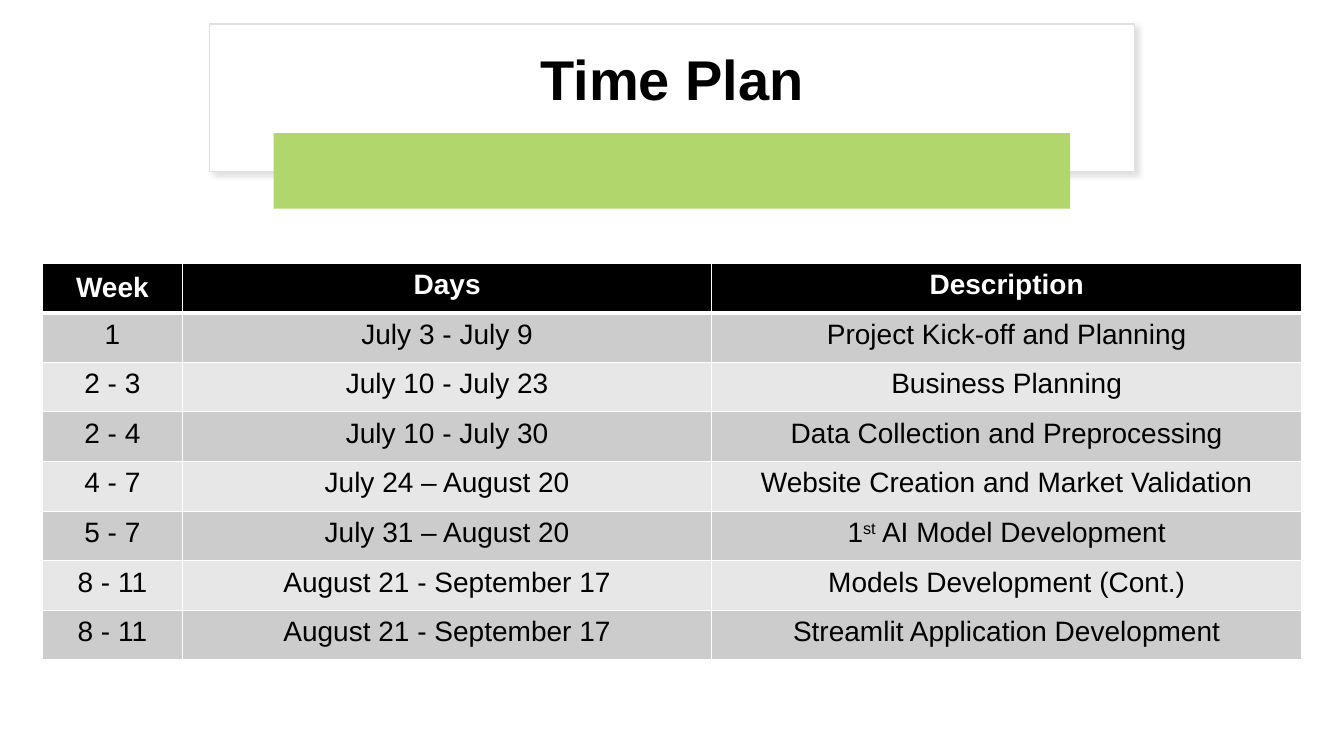
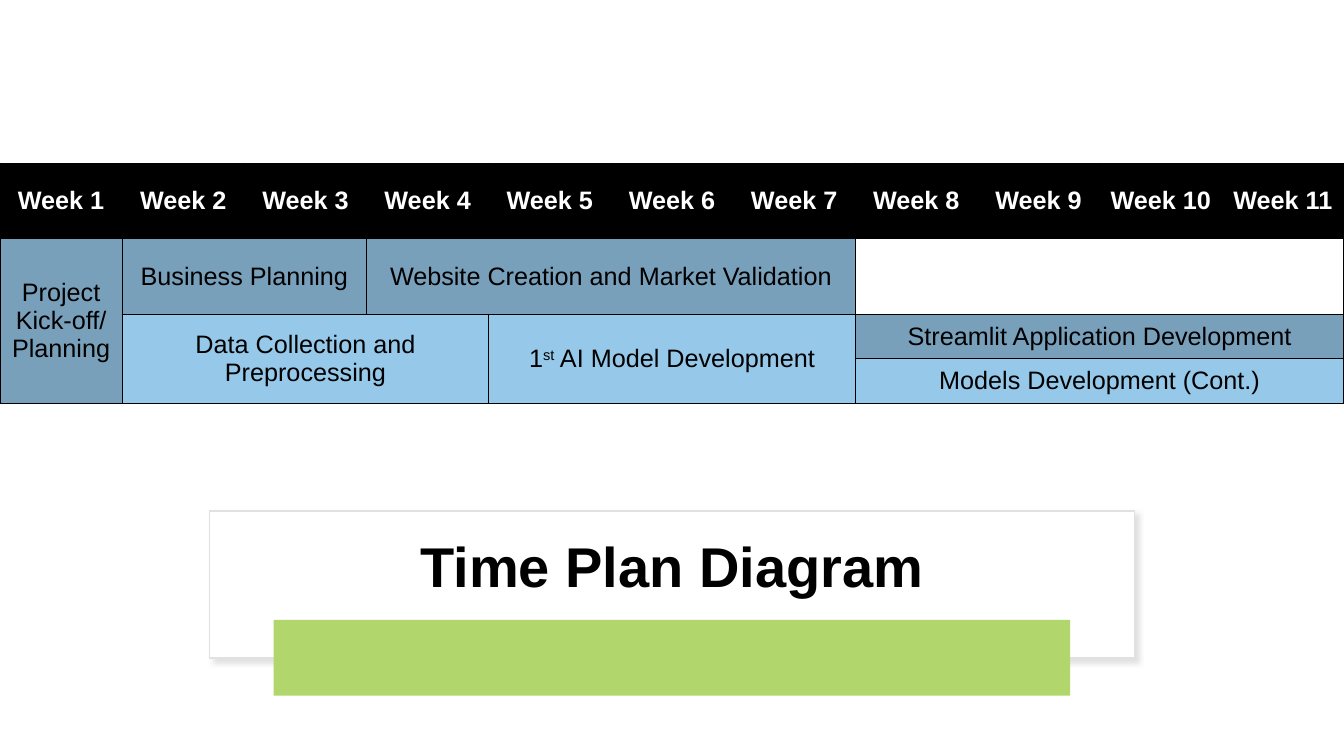
"""Build the two time plan slides: a schedule table and a week-by-week diagram."""
from dataclasses import dataclass

import lxml.etree
import pptx
import pptx.dml.color
import pptx.enum.shapes
import pptx.enum.text
import pptx.oxml.ns
import pptx.util

Inches = pptx.util.Inches
Pt = pptx.util.Pt
qn = pptx.oxml.ns.qn
Shapes = pptx.enum.shapes.MSO_SHAPE
Anchor = pptx.enum.text.MSO_ANCHOR

WIDTH, HEIGHT = 13.33, 7.5
FONT = "Arial"
BLACK, WHITE = "000000", "FFFFFF"
PANEL_LINE, SHADOW, GREEN = "E1E1E1", "C5C3C3", "B0D66C"
DARK_GREY, LIGHT_GREY = "CCCCCC", "E7E7E7"
STEEL, SKY = "78A0BB", "96C8E9"


@dataclass
class Cell:
    text: str
    row: int
    col: int
    fill: str
    rows: int = 1
    cols: int = 1
    anchor: Anchor = Anchor.MIDDLE


@dataclass
class Grid:
    left: float
    top: float
    cols: list[float]
    rows: list[float]
    size: int
    margins: tuple[float, float]
    border: str
    header_rule: float


SCHEDULE = [
    ("Week", "Days", "Description"),
    ("1", "July 3 - July 9", "Project Kick-off and Planning"),
    ("2 - 3", "July 10 - July 23", "Business Planning"),
    ("2 - 4", "July 10 - July 30", "Data Collection and Preprocessing"),
    ("4 - 7", "July 24 – August 20", "Website Creation and Market Validation"),
    ("5 - 7", "July 31 – August 20", "1^st^ AI Model Development"),
    ("8 - 11", "August 21 - September 17", "Models Development (Cont.)"),
    ("8 - 11", "August 21 - September 17", "Streamlit Application Development"),
]
WEEKS = 11
TASKS = [
    Cell("Project Kick-off/\nPlanning", 1, 0, STEEL, rows=3),
    Cell("Business Planning", 1, 1, STEEL, cols=2),
    Cell("Website Creation and Market Validation", 1, 3, STEEL, cols=4),
    Cell("", 1, 7, WHITE, cols=4),
    Cell("Data Collection and Preprocessing", 2, 1, SKY, rows=2, cols=3),
    Cell("1^st^ AI Model Development", 2, 4, SKY, rows=2, cols=3),
    Cell("Streamlit Application Development", 2, 7, STEEL, cols=4),
    Cell("Models Development (Cont.)", 3, 7, SKY, cols=4),
]


def rgb(value: str) -> pptx.dml.color.RGBColor:
    """Turn a hex string into a colour."""
    return pptx.dml.color.RGBColor.from_string(value)


def put_text(tf, text: str, size: int, color: str, bold: bool) -> None:
    """Write centred text, raising the parts between carets."""
    tf.text = text
    for p in tf.paragraphs:
        p.alignment = pptx.enum.text.PP_ALIGN.CENTER
        first, *rest = p.text.split("^")
        p.text = first
        for part in rest:
            p.add_run().text = part
        for i, r in enumerate(p.runs):
            r.font.name, r.font.size, r.font.bold = FONT, Pt(size), bold
            r.font.color.rgb = rgb(color)
            if i % 2:
                r._r.get_or_add_rPr().set("baseline", "30000")


def add_shadow(sp) -> None:
    """Give a shape a soft shadow to the lower right."""
    effects = sp._element.spPr.find(qn("a:effectLst"))
    outer = lxml.etree.SubElement(
        effects, qn("a:outerShdw"), blurRad=str(Pt(4)), dist=str(Pt(3)),
        dir=str(45 * 60000), algn="tl", rotWithShape="0")
    color = lxml.etree.SubElement(outer, qn("a:srgbClr"), val=SHADOW)
    lxml.etree.SubElement(color, qn("a:alpha"), val="50000")


def add_block(slide, kind: Shapes, top: float, width: float, height: float, fill: str):
    """Draw a filled, horizontally centred block."""
    sp = slide.shapes.add_shape(
        kind, Inches((WIDTH - width) / 2), Inches(top), Inches(width), Inches(height))
    sp.shadow.inherit = False
    sp.fill.solid()
    sp.fill.fore_color.rgb = rgb(fill)
    sp.line.fill.background()
    return sp


def add_title(slide, text: str, top: float) -> None:
    """Draw the title panel with its green bar."""
    panel = add_block(slide, Shapes.RECTANGLE, top, 9.17, 1.46, WHITE)
    panel.line.color.rgb = rgb(PANEL_LINE)
    panel.line.width = Pt(1)
    add_shadow(panel)

    width = 8.73
    box = slide.shapes.add_textbox(
        Inches((WIDTH - width) / 2), Inches(top + 0.1), Inches(width), Inches(0.95))
    tf = box.text_frame
    tf.word_wrap = True
    tf.vertical_anchor = Anchor.MIDDLE
    put_text(tf, text, 40, BLACK, True)
    tf.paragraphs[0].line_spacing = 0.9
    tf.paragraphs[0].space_after = Pt(6)

    bar = add_block(slide, Shapes.ROUNDED_RECTANGLE, top + 1.08, 7.9, 0.75, GREEN)
    bar.adjustments[0] = 0


def set_borders(cell, color: str, top: float, bottom: float) -> None:
    """Line the four sides of a table cell."""
    tc_pr = cell._tc.get_or_add_tcPr()
    for side, width in zip("LRTB", (1, 1, top, bottom)):
        ln = lxml.etree.SubElement(tc_pr, qn(f"a:ln{side}"), w=str(Pt(width)))
        fill = lxml.etree.SubElement(ln, qn("a:solidFill"))
        lxml.etree.SubElement(fill, qn("a:srgbClr"), val=color)


def add_grid(slide, grid: Grid, cells: list[Cell]) -> None:
    """Draw a table with a black header row and merged cells where asked."""
    table = slide.shapes.add_table(
        len(grid.rows), len(grid.cols), Inches(grid.left), Inches(grid.top),
        Inches(sum(grid.cols)), Inches(sum(grid.rows))).table
    table.first_row = table.horz_banding = False
    for column, width in zip(table.columns, grid.cols):
        column.width = Inches(width)
    for i, (row, height) in enumerate(zip(table.rows, grid.rows)):
        row.height = Inches(height)
        for cell in row.cells:
            set_borders(cell, grid.border, grid.header_rule if i == 1 else 1,
                        grid.header_rule if i == 0 else 1)
    for item in cells:
        cell = table.cell(item.row, item.col)
        if item.rows * item.cols > 1:
            cell.merge(table.cell(item.row + item.rows - 1, item.col + item.cols - 1))
        cell.fill.solid()
        cell.fill.fore_color.rgb = rgb(item.fill)
        cell.vertical_anchor = item.anchor
        cell.margin_left = cell.margin_right = Inches(grid.margins[0])
        cell.margin_top = cell.margin_bottom = Inches(grid.margins[1])
        header = item.row == 0
        put_text(cell.text_frame, item.text, grid.size, WHITE if header else BLACK, header)


def schedule_cells() -> list[Cell]:
    """List the schedule's cells with alternating row fills."""
    cells = []
    for i, row in enumerate(SCHEDULE):
        fill = BLACK if i == 0 else DARK_GREY if i % 2 else LIGHT_GREY
        for j, text in enumerate(row):
            anchor = Anchor.MIDDLE if i == j == 0 else Anchor.TOP
            cells.append(Cell(text, i, j, fill, anchor=anchor))
    return cells


def main() -> None:
    """Build and save the presentation."""
    prs = pptx.Presentation()
    prs.slide_width, prs.slide_height = Inches(WIDTH), Inches(HEIGHT)
    blank = prs.slide_layouts[6]

    slide = prs.slides.add_slide(blank)
    add_title(slide, "Time Plan", 0.24)
    grid = Grid(0.42, 2.61, [1.39, 5.25, 5.85], [3.94 / len(SCHEDULE)] * len(SCHEDULE),
                20, (0.11, 0.06), WHITE, 3)
    add_grid(slide, grid, schedule_cells())

    slide = prs.slides.add_slide(blank)
    add_title(slide, "Time Plan Diagram", 5.07)
    grid = Grid(0, 1.62, [WIDTH / WEEKS] * WEEKS, [0.75, 0.75, 0.44, 0.44],
                18, (0.1, 0.05), BLACK, 1)
    header = [Cell(f"Week {i + 1}", 0, i, BLACK) for i in range(WEEKS)]
    add_grid(slide, grid, header + TASKS)

    prs.save("out.pptx")


if __name__ == "__main__":
    main()
